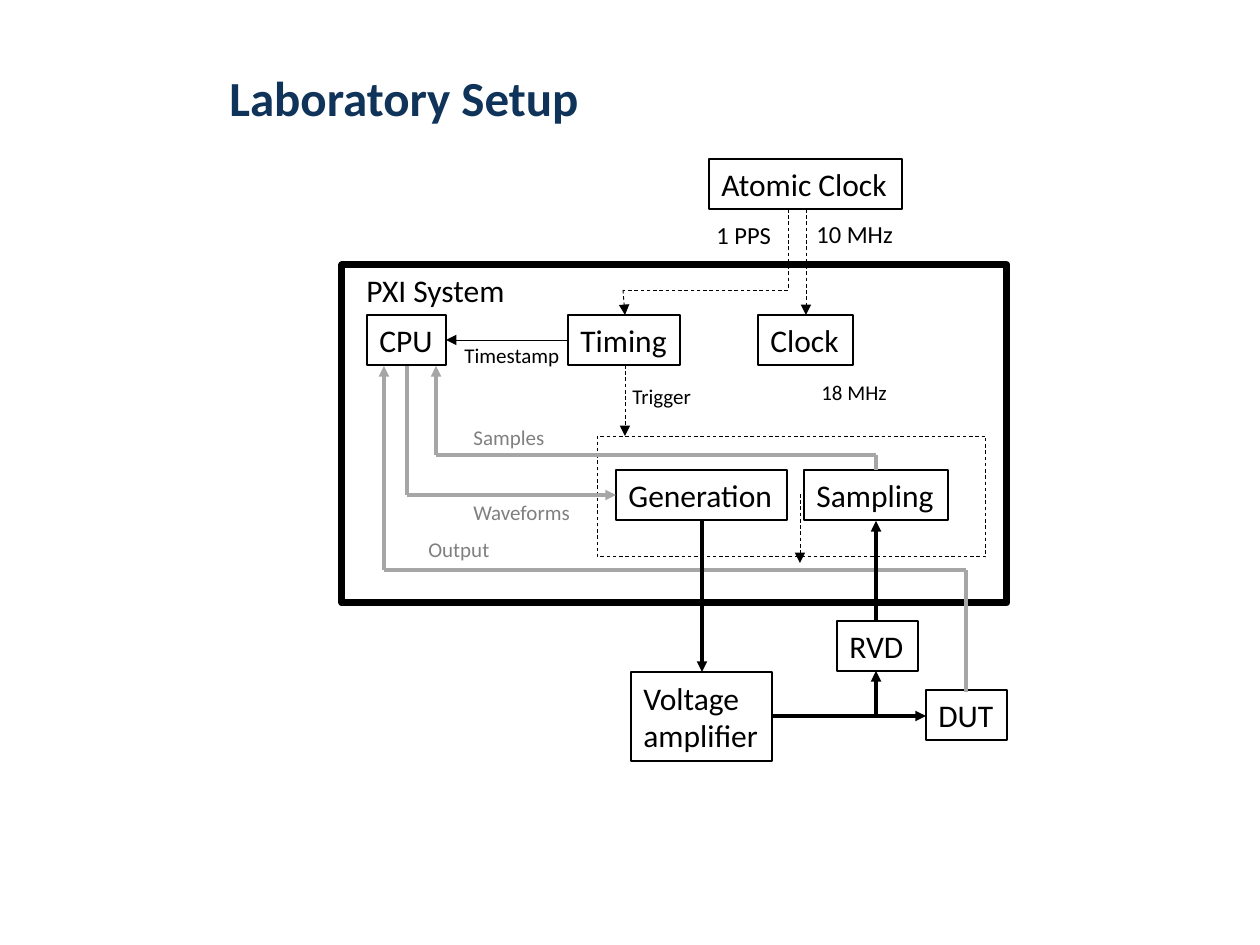
from itertools import pairwise

from lxml import etree
from pptx import Presentation
from pptx import util as u
from pptx.dml.color import RGBColor
from pptx.enum import dml, shapes, text
from pptx.oxml.ns import qn

EMU_PER_PX = 914400 / 126
FONT = "Calibri"
COLORS = {"navy": "10335A", "black": "000000", "light": "A6A6A6", "gray": "808080"}
ROW = 50  # height of a one-line box

# text, left, top, width, height
TITLE = ("Laboratory Setup", 217, 60, 924, 97)
BOXES = [
    ("Generation", 616, 470, 171, ROW),
    ("Sampling", 804, 470, 144, ROW),
    ("Clock", 758, 315, 95, ROW),
    ("Atomic Clock", 709, 159, 193, ROW),
    ("Timing", 568, 315, 112, ROW),
    ("CPU", 367, 315, 79, ROW),
    ("DUT", 926, 690, 81, ROW),
    ("Voltage\namplifier", 631, 672, 141, 89),
    ("RVD", 837, 621, 81, ROW),
]
# left, top, width, height, line width, dashed
FRAMES = [(342, 265, 665, 338, 4, False), (597, 436, 389, 121, 0.5, True)]
# text, left, top, width, height, size, color
LABELS = [
    ("PXI System", 354, 265, 165, ROW, 18, "black"),
    ("10 MHz", 804, 213, 102, 43, 14, "black"),
    ("1 PPS", 704, 214, 81, 43, 14, "black"),
    ("18 MHz", 809, 373, 92, 38, 12, "black"),
    ("Trigger", 620, 377, 84, 38, 12, "black"),
    ("Timestamp", 452, 336, 121, 38, 12, "black"),
    ("Samples", 461, 418, 97, 38, 12, "gray"),
    ("Waveforms", 461, 493, 123, 38, 12, "gray"),
    ("Output", 416, 530, 87, 38, 12, "gray"),
]
# style name: color, line width, dashed
STYLES = {
    "timing": ("black", 0.5, True),
    "thin": ("black", 0.5, False),
    "data": ("light", 2, False),
    "power": ("black", 2, False),
}
# style, corner points; the arrowhead is at the last point
ROUTES = [
    ("timing", [(806, 209), (806, 315)]),
    ("timing", [(788, 209), (788, 290), (623, 290), (625, 315)]),
    ("timing", [(625, 365), (625, 436)]),
    ("timing", [(800, 494), (800, 563)]),
    ("thin", [(568, 340), (446, 340)]),
    ("data", [(407, 366), (407, 495), (616, 495)]),
    ("data", [(876, 470), (876, 455), (436, 455), (436, 366)]),
    ("data", [(966, 692), (966, 570), (384, 570), (384, 366)]),
    ("power", [(702, 520), (702, 672)]),
    ("power", [(772, 716), (926, 716)]),
    ("power", [(876, 716), (876, 671)]),
    ("power", [(876, 621), (876, 521)]),
]


def px(value):
    return u.Emu(round(value * EMU_PER_PX))


def rgb(name):
    return RGBColor.from_string(COLORS[name])


def style_line(line, color, width, dashed):
    line.color.rgb = rgb(color)
    line.width = u.Pt(width)
    if dashed:
        line.dash_style = dml.MSO_LINE.DASH


def write(shape, content, size, color, bold=False):
    frame = shape.text_frame
    frame.word_wrap = False
    for index, line in enumerate(content.split("\n")):
        paragraph = frame.add_paragraph() if index else frame.paragraphs[0]
        paragraph.alignment = text.PP_ALIGN.LEFT
        run = paragraph.add_run()
        run.text = line
        run.font.name, run.font.size, run.font.bold = FONT, u.Pt(size), bold
        run.font.color.rgb = rgb(color)
    return frame


def add_label(slide, content, left, top, width, height, size, color, bold=False):
    shape = slide.shapes.add_textbox(*map(px, (left, top, width, height)))
    return write(shape, content, size, color, bold)


def add_rectangle(slide, bounds, width, dashed=False):
    shape = slide.shapes.add_shape(shapes.MSO_SHAPE.RECTANGLE, *map(px, bounds))
    shape.shadow.inherit = False
    shape.fill.background()
    style_line(shape.line, "black", width, dashed)
    return shape


def add_route(slide, style, points):
    """Join the points with straight connectors, the last one with an arrowhead."""
    for start, end in pairwise(points):
        connector = slide.shapes.add_connector(
            shapes.MSO_CONNECTOR.STRAIGHT, *map(px, (*start, *end)))
        style_line(connector.line, *STYLES[style])
        properties = connector._element.spPr
        etree.SubElement(properties, qn("a:effectLst"))
    etree.SubElement(properties.find(qn("a:ln")), qn("a:tailEnd"), type="triangle")


def main():
    presentation = Presentation()
    presentation.slide_width, presentation.slide_height = u.Inches(10), u.Inches(7.5)
    slide = presentation.slides.add_slide(presentation.slide_layouts[6])

    title = add_label(slide, *TITLE, 28, "navy", bold=True)
    title.word_wrap = True
    title.vertical_anchor = text.MSO_ANCHOR.MIDDLE
    title.margin_bottom = px(30)

    for *bounds, width, dashed in FRAMES:
        add_rectangle(slide, bounds, width, dashed)
    for content, *bounds in BOXES:
        write(add_rectangle(slide, bounds, 0.75), content, 18, "black")
    for label in LABELS:
        add_label(slide, *label)
    for style, points in ROUTES:
        add_route(slide, style, points)

    presentation.save("out.pptx")


if __name__ == "__main__":
    main()
